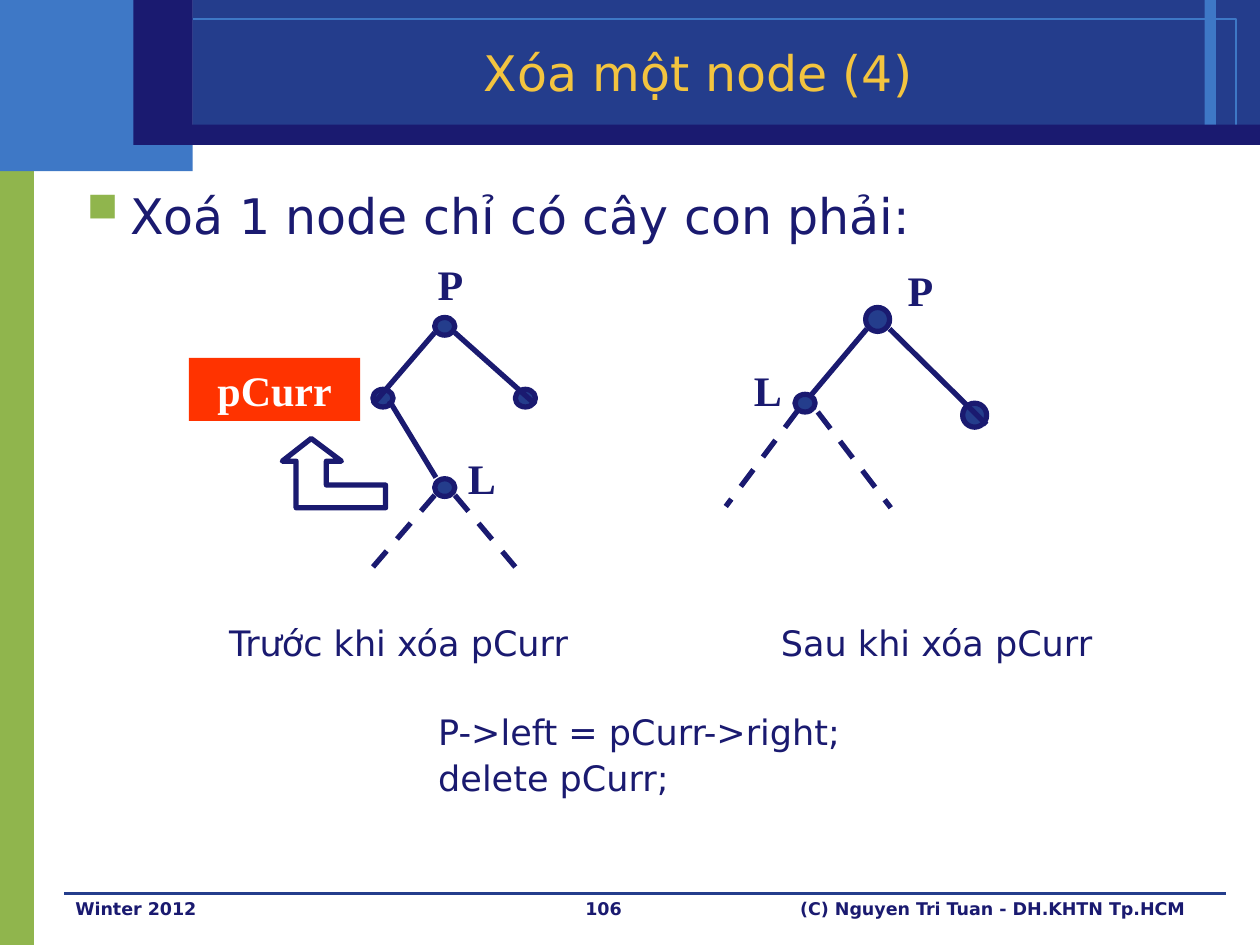
"""Builds the slide on deleting a tree node that has only a right subtree."""
from lxml import etree
from pptx import Presentation
from pptx import util as u
from pptx.dml.color import RGBColor
from pptx.enum import dml, shapes, text
from pptx.oxml import ns

NAVY, BLUE, SKY, GREEN = "1A1A70", "243D8C", "3E78C6", "90B54D"
GOLD, RED, WHITE = "F3C43F", "FF3300", "FFFFFF"
SANS, SERIF = "DejaVu Sans", "Times New Roman"
LEFT, CENTER, RIGHT = text.PP_ALIGN.LEFT, text.PP_ALIGN.CENTER, text.PP_ALIGN.RIGHT
RECTANGLE, OVAL = shapes.MSO_SHAPE.RECTANGLE, shapes.MSO_SHAPE.OVAL


def color(value):
    return RGBColor.from_string(value)


def inches(*values):
    return [u.Inches(value) for value in values]


def add_child(parent, tag, **attributes):
    return etree.SubElement(parent, ns.qn(tag), attributes)


class SlideBuilder:
    """Holds the text style and the current slide."""

    style = {"name": SANS, "size": 20, "bold": False, "color": NAVY}

    def __init__(self, slide):
        self.slide = slide

    def paint(self, shape, fill=None, line=None, width=3):
        shape.shadow.inherit = False
        if fill:
            shape.fill.solid()
            shape.fill.fore_color.rgb = color(fill)
        else:
            shape.fill.background()
        if line:
            shape.line.color.rgb = color(line)
            shape.line.width = u.Pt(width)
        else:
            shape.line.fill.background()

    def shape(self, kind, box, fill=None, line=None, width=3):
        shape = self.slide.shapes.add_shape(kind, *inches(*box))
        self.paint(shape, fill, line, width)
        return shape

    def node(self, x, y, width=0.16, height=0.14):
        return self.shape(OVAL, (x, y, width, height), BLUE, NAVY)

    def line(self, start, end, line=NAVY, width=3, dashed=False):
        connector = self.slide.shapes.add_connector(
            shapes.MSO_CONNECTOR.STRAIGHT, *inches(*start, *end))
        connector.line.color.rgb = color(line)
        connector.line.width = u.Pt(width)
        if dashed:
            connector.line.dash_style = dml.MSO_LINE.DASH
        add_child(connector._element.spPr, "a:effectLst")

    def outline(self, points, fill, line):
        start, *rest = [inches(*point) for point in points]
        builder = self.slide.shapes.build_freeform(*start)
        builder.add_line_segments(rest, close=True)
        self.paint(builder.convert_to_shape(), fill, line)

    def set_text(self, shape, lines, align=LEFT, anchor=text.MSO_ANCHOR.TOP,
                 bullet=False, spacing=None, before=0, **style):
        frame = shape.text_frame
        frame.word_wrap = True
        frame.vertical_anchor = anchor
        font_style = {**self.style, **style}
        font_color = font_style.pop("color")
        font_style["size"] = u.Pt(font_style["size"])
        for index, content in enumerate(lines):
            paragraph = frame.paragraphs[0] if index == 0 else frame.add_paragraph()
            if bullet:
                self.bullet(paragraph)
            paragraph.text = content
            paragraph.alignment = align
            paragraph.line_spacing = spacing
            if index:
                paragraph.space_before = u.Pt(before)
            font = paragraph.runs[0].font
            for name, value in font_style.items():
                setattr(font, name, value)
            font.color.rgb = color(font_color)

    def bullet(self, paragraph):
        properties = paragraph._p.get_or_add_pPr()
        properties.set("marL", str(u.Inches(0.38)))
        properties.set("indent", str(-u.Inches(0.38)))
        bullet_color = add_child(properties, "a:buClr")
        add_child(bullet_color, "a:srgbClr", val=GREEN)
        add_child(properties, "a:buSzPct", val="150000")
        add_child(properties, "a:buChar", char="▪")

    def textbox(self, box, *lines, **options):
        self.set_text(self.slide.shapes.add_textbox(*inches(*box)), lines, **options)

    def label(self, x, y, content):
        self.textbox((x, y, 0.55, 0.5), content, align=CENTER,
                     anchor=text.MSO_ANCHOR.MIDDLE, name=SERIF, size=24, bold=True)

    def title(self, box, content):
        title = self.slide.shapes.title
        title.left, title.top, title.width, title.height = inches(*box)
        title.element.getparent().append(title.element)
        self.set_text(title, [content], align=CENTER,
                      anchor=text.MSO_ANCHOR.MIDDLE, size=28, color=GOLD)


def add_frame(builder):
    for box, fill in [((0, 1.07, 0.27, 6.43), GREEN), ((0, 0, 1.53, 1.36), SKY),
                      ((1.53, 0, 8.47, 1.15), BLUE), ((9.56, 0, 0.09, 1), SKY)]:
        builder.shape(RECTANGLE, box, fill)
    builder.shape(RECTANGLE, (0.2, 0.15, 9.61, 0.85), line=SKY, width=0)
    builder.line((0.51, 7.09), (9.73, 7.09), BLUE, 0)
    for box in [(1.3, 0.99, 8.7, 0.16), (1.06, 0, 0.47, 1.15)]:
        builder.shape(RECTANGLE, box, NAVY)
    for left, width, content, align in [
            (4, 1.58, "106", CENTER), (0.5, 2.33, "Winter 2012", LEFT),
            (5.92, 3.58, "(C) Nguyen Tri Tuan - DH.KHTN Tp.HCM", RIGHT)]:
        builder.textbox((left, 7.08, width, 0.42), content,
                        align=align, size=10, bold=True)


def add_tree_before(builder):
    for x, y in [(3.45, 2.52), (2.96, 3.09), (4.09, 3.09), (3.45, 3.8)]:
        builder.node(x, y)
    for start, end in [((3.61, 2.64), (4.25, 3.21)), ((3.09, 3.18), (3.46, 3.79)),
                       ((3.45, 2.64), (2.96, 3.21))]:
        builder.line(start, end)
    for start, end in [((3.45, 3.93), (2.96, 4.5)), ((3.61, 3.93), (4.09, 4.5))]:
        builder.line(start, end, dashed=True)
    builder.label(3.3, 2, "P")
    builder.label(3.55, 3.54, "L")
    current = builder.shape(RECTANGLE, (1.5, 2.84, 1.36, 0.5), RED)
    builder.set_text(current, ["pCurr"], align=CENTER, anchor=text.MSO_ANCHOR.MIDDLE,
                     name=SERIF, size=24, bold=True, color=WHITE)
    builder.outline([(2.47, 3.48), (2.71, 3.66), (2.59, 3.66), (2.59, 3.85),
                     (3.06, 3.85), (3.06, 4.03), (2.35, 4.03), (2.35, 3.66),
                     (2.24, 3.66)], WHITE, NAVY)


def add_tree_after(builder):
    for x, y in [(6.87, 2.44), (7.64, 3.2)]:
        builder.node(x, y, 0.19, 0.19)
    for start, end in [((7.06, 2.61), (7.83, 3.37)), ((6.88, 2.61), (6.4, 3.18))]:
        builder.line(start, end)
    for start, end in [((6.33, 3.26), (5.76, 4.02)), ((6.49, 3.27), (7.07, 4.03))]:
        builder.line(start, end, dashed=True)
    builder.node(6.31, 3.13)
    builder.label(7.03, 2.05, "P")
    builder.label(5.82, 2.84, "L")


def main():
    presentation = Presentation()
    presentation.slide_width, presentation.slide_height = inches(10, 7.5)
    slide = presentation.slides.add_slide(presentation.slide_layouts[5])
    builder = SlideBuilder(slide)
    add_frame(builder)
    builder.title((1.5, 0.26, 8.08, 0.62), "Xóa một node (4)")
    builder.textbox((0.5, 1.42, 9.17, 0.6), "Xoá 1 node chỉ có cây con phải:",
                    bullet=True, size=28)
    add_tree_before(builder)
    add_tree_after(builder)
    builder.textbox((1.72, 4.92, 3.2, 0.4), "Trước khi xóa pCurr", spacing=0.9)
    builder.textbox((6.1, 4.92, 3.2, 0.4), "Sau khi xóa pCurr", spacing=0.9)
    builder.textbox((3.38, 5.63, 4, 0.8), "P->left = pCurr->right;",
                    "delete pCurr;", spacing=0.9, before=4.7)
    presentation.save("out.pptx")


if __name__ == "__main__":
    main()
